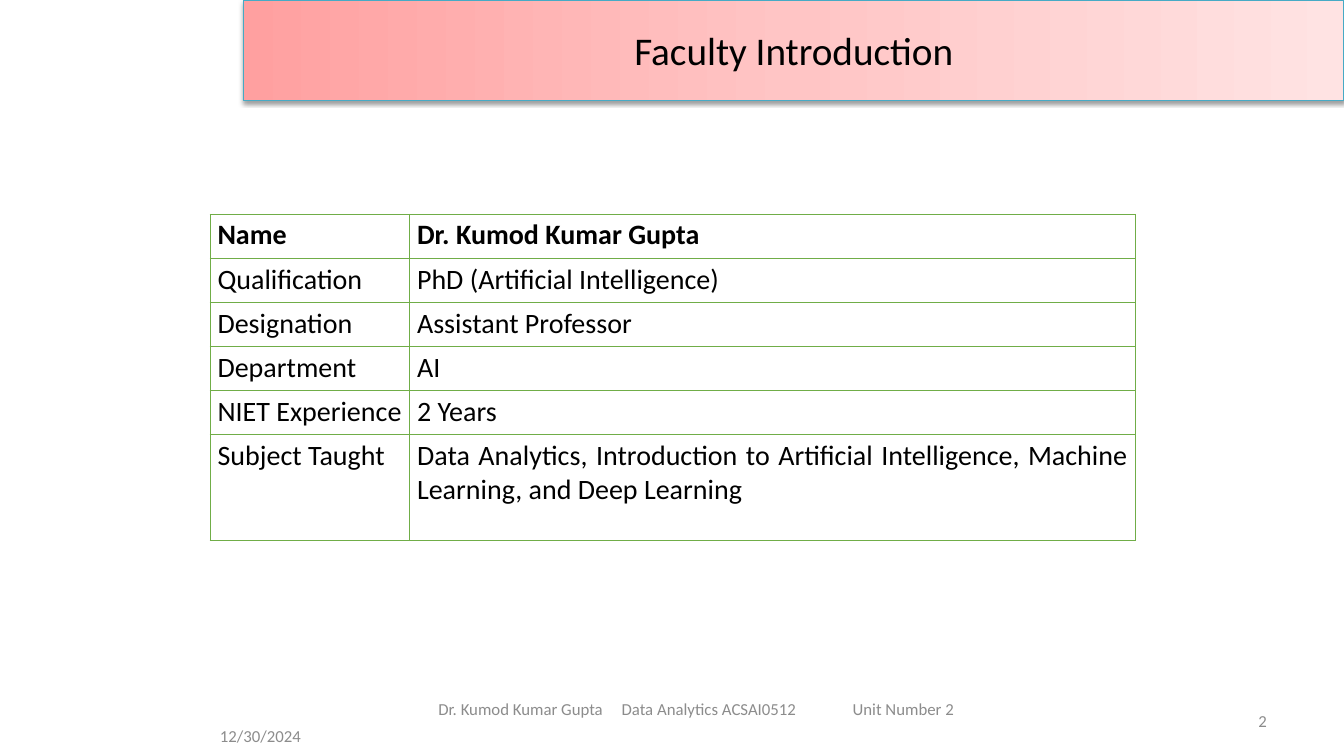
import copy
import pptx
import pptx.dml.color
import pptx.enum.text
import pptx.oxml
import pptx.util

Pt = pptx.util.Pt
Align = pptx.enum.text.PP_ALIGN
Anchor = pptx.enum.text.MSO_ANCHOR
SPACE = 'xmlns:a="http://schemas.openxmlformats.org/drawingml/2006/main"'


def tint(code):
    return pptx.dml.color.RGBColor.from_string(code)


def node(text):
    return pptx.oxml.parse_xml(text)


class Deck:
    font = "Calibri"
    ink = "000000"
    gray = "8C8C8C"
    green = "70AD47"

    def __init__(self):
        self.show = pptx.Presentation()
        self.show.slide_width = Pt(960)
        self.show.slide_height = Pt(540)
        self.slide = self.show.slides.add_slide(self.show.slide_layouts[5])

    def label(self, para, text, size, color, bold=False, align=Align.LEFT):
        para.alignment = align
        run = para.add_run()
        run.text = text
        run.font.name = self.font
        run.font.size = Pt(size)
        run.font.bold = bold
        run.font.color.rgb = tint(color)

    def title(self, text, left, top, width, height, stops):
        shape = self.slide.shapes.title
        shape.left, shape.top = Pt(left), Pt(top)
        shape.width, shape.height = Pt(width), Pt(height)
        shape.fill.gradient()
        shape.fill.gradient_angle = 0
        tree = shape.element.spPr.find(".//{*}gsLst")
        tree.insert(1, copy.deepcopy(tree[0]))
        for stop, (place, color) in zip(shape.fill.gradient_stops, stops):
            stop.position = place
            stop.color.rgb = tint(color)
        shape.line.color.rgb = tint("46AAC5")
        shape.line.width = Pt(0.75)
        shape.element.spPr.append(node(
            f'<a:effectLst {SPACE}><a:outerShdw blurRad="{Pt(3.1)}" '
            f'dist="{Pt(1.6)}" dir="5400000" rotWithShape="0">'
            '<a:srgbClr val="000000"><a:alpha val="38000"/></a:srgbClr>'
            '</a:outerShdw></a:effectLst>'))
        frame = shape.text_frame
        frame.auto_size = pptx.enum.text.MSO_AUTO_SIZE.NONE
        frame.vertical_anchor = Anchor.MIDDLE
        self.label(frame.paragraphs[0], text, 28, self.ink, align=Align.CENTER)

    def note(self, text, left, top, width, align=Align.LEFT, tabs=()):
        box = self.slide.shapes.add_textbox(Pt(left), Pt(top), Pt(width), Pt(28.8))
        frame = box.text_frame
        frame.word_wrap = True
        frame.vertical_anchor = Anchor.MIDDLE
        para = frame.paragraphs[0]
        if tabs:
            marks = "".join(f'<a:tab pos="{Pt(tab)}" algn="l"/>' for tab in tabs)
            para._p.get_or_add_pPr().append(node(f"<a:tabLst {SPACE}>{marks}</a:tabLst>"))
        self.label(para, text, 12, self.gray, align=align)

    def edge(self, cell, row):
        props = cell._tc.get_or_add_tcPr()
        wide = {"T": row == 1, "B": row == 0}
        for spot, side in enumerate("LRTB"):
            width = 1.13 if wide.get(side) else 0.75
            props.insert(spot, node(
                f'<a:ln{side} {SPACE} w="{Pt(width)}"><a:solidFill>'
                f'<a:srgbClr val="{self.green}"/></a:solidFill></a:ln{side}>'))

    def table(self, rows, left, top, widths, heights):
        frame = self.slide.shapes.add_table(
            len(rows), len(widths), Pt(left), Pt(top),
            Pt(sum(widths)), Pt(sum(heights)))
        grid = frame.table
        grid.first_row = False
        grid.horz_banding = False
        for col, width in zip(grid.columns, widths):
            col.width = Pt(width)
        for row, height in zip(grid.rows, heights):
            row.height = Pt(height)
        last = (len(rows) - 1, len(widths) - 1)
        for i, row in enumerate(rows):
            for j, text in enumerate(row):
                cell = grid.cell(i, j)
                cell.fill.background()
                cell.margin_left = cell.margin_right = Pt(5.4)
                cell.margin_top = cell.margin_bottom = Pt(2.9)
                align = Align.JUSTIFY if (i, j) == last else Align.LEFT
                self.label(cell.text_frame.paragraphs[0], text, 20, self.ink, i == 0, align)
                self.edge(cell, i)


def main():
    deck = Deck()
    deck.title("Faculty Introduction", 174, 0, 786, 71.5,
               [(0, "FFA0A0"), (0.5, "FFC5C5"), (1, "FFE3E3")])
    deck.note("12/30/2024", 150, 511.5, 168)
    deck.note("2", 688, 500.5, 224, Align.RIGHT)
    deck.note("Dr. Kumod Kumar Gupta\tData Analytics ACSAI0512\tUnit Number 2",
              306, 492, 390, tabs=(131, 296))
    rows = [
        ("Name", "Dr. Kumod Kumar Gupta"),
        ("Qualification", "PhD (Artificial Intelligence)"),
        ("Designation", "Assistant Professor"),
        ("Department", "AI"),
        ("NIET Experience", "2 Years"),
        ("Subject Taught", "Data Analytics, Introduction to Artificial Intelligence, "
                           "Machine Learning, and Deep Learning"),
    ]
    deck.table(rows, 150, 153, (142.5, 518.5), [31.5] * 5 + [75.8])
    deck.show.save("out.pptx")


if __name__ == "__main__":
    main()
